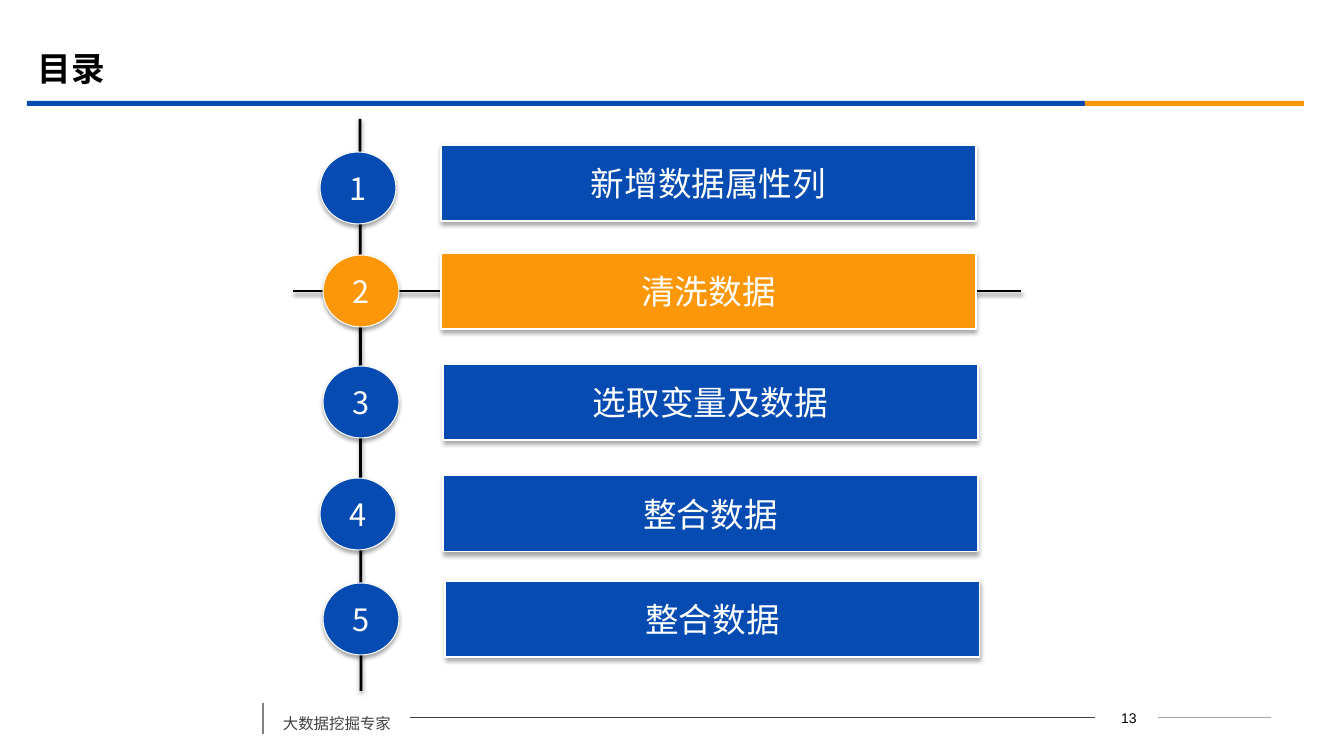
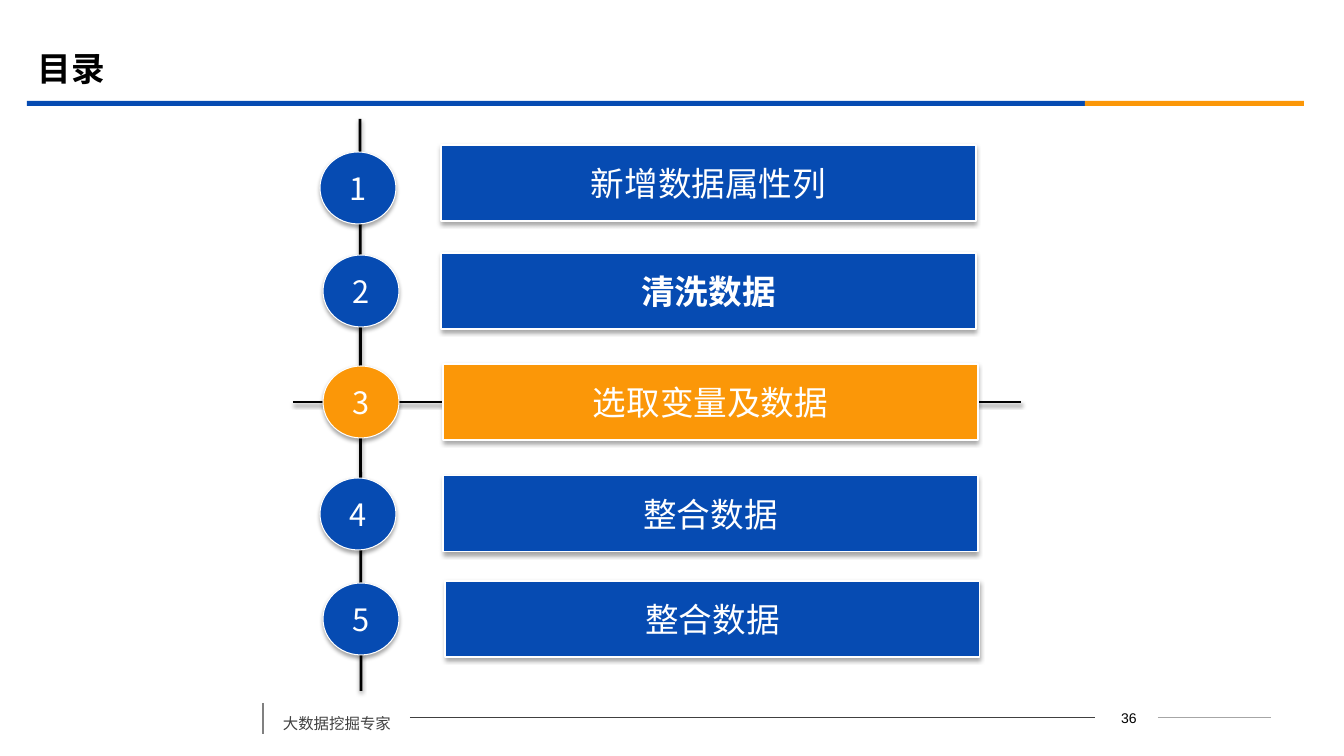
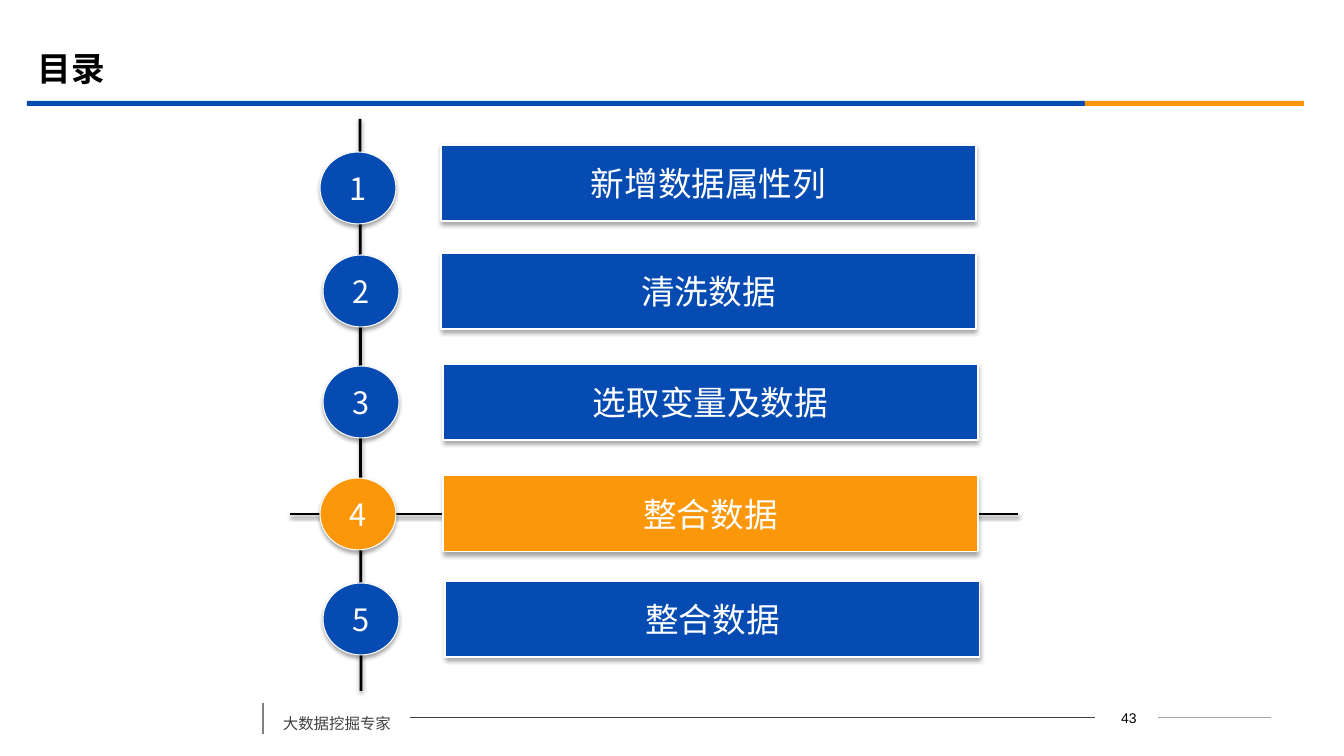
import pptx
import pptx.util
import pptx.dml.color
import pptx.enum.shapes
import pptx.enum.text
import pptx.oxml.ns
import lxml.etree

PX = 914400 / 100.8
SHAPES = pptx.enum.shapes.MSO_SHAPE
ALIGN = pptx.enum.text.PP_ALIGN
ANCHOR = pptx.enum.text.MSO_ANCHOR
COLORS = {
    "blue": "064BB2", "orange": "FB9708", "white": "FFFFFF", "black": "000000",
    "footer": "404040", "divider": "808080", "pale": "A6A6A6",
}
FONT = "Noto Sans CJK SC"

# Agenda content: label, circle left and top, bar left and top
TOPICS = [
    ("新增数据属性列", (320, 152), (441, 145)),
    ("清洗数据", (323, 255), (441, 253)),
    ("选取变量及数据", (323, 366), (443, 364)),
    ("整合数据", (320, 478), (443, 476)),
    ("整合数据", (323, 583), (445, 581)),
]
CIRCLE = (76, 72)
BAR = (535, 76)

# Page number, highlighted topic, bold topic
AGENDAS = [(13, 2, None), (36, 3, 2), (43, 4, None)]


def emu(*lengths):
    return [pptx.util.Emu(round(length * PX)) for length in lengths]


def rgb(name):
    return pptx.dml.color.RGBColor.from_string(COLORS[name])


def write(frame, text, size=24, color="black", font=FONT, bold=False,
          align=ALIGN.LEFT, anchor=ANCHOR.TOP, wrap=True, spacing=None, before=0):
    frame.word_wrap = wrap
    frame.vertical_anchor = anchor
    paragraph = frame.paragraphs[0]
    paragraph.alignment = align
    paragraph.space_before = pptx.util.Pt(before)
    if spacing:
        paragraph.line_spacing = spacing
    run = paragraph.add_run()
    run.text = text
    run.font.size = pptx.util.Pt(size)
    run.font.bold = bold
    run.font.color.rgb = rgb(color)
    run.font.name = font
    east_asian = lxml.etree.SubElement(run.font._element, pptx.oxml.ns.qn("a:ea"))
    east_asian.set("typeface", font)


class Deck:
    def __init__(self):
        self.file = pptx.Presentation()
        self.file.slide_width, self.file.slide_height = emu(1344, 756)
        self.slide = None

    def effects(self, item, distance=0, alpha=0):
        """Replace the theme shadow by none, or by a soft one straight below."""
        qn = pptx.oxml.ns.qn
        properties = item._element.spPr
        effects = properties.find(qn("a:effectLst"))
        if effects is None:
            effects = lxml.etree.SubElement(properties, qn("a:effectLst"))
        if alpha:
            shadow = lxml.etree.SubElement(
                effects, qn("a:outerShdw"), blurRad=str(pptx.util.Pt(3.1)),
                dist=str(pptx.util.Pt(distance)), dir="5400000", rotWithShape="0")
            tint = lxml.etree.SubElement(shadow, qn("a:srgbClr"), val=COLORS["black"])
            lxml.etree.SubElement(tint, qn("a:alpha"), val=str(alpha * 1000))

    def text(self, box, text, **style):
        frame = self.slide.shapes.add_textbox(*emu(*box)).text_frame
        write(frame, text, **style)

    def line(self, start, end, color="black", width=2, shadow=False):
        line = self.slide.shapes.add_connector(
            pptx.enum.shapes.MSO_CONNECTOR.STRAIGHT, *emu(*start, *end))
        line.line.color.rgb = rgb(color)
        line.line.width = pptx.util.Pt(width)
        self.effects(line, 1.6, 38 if shadow else 0)

    def shape(self, kind, box, fill):
        shape = self.slide.shapes.add_shape(kind, *emu(*box))
        shape.shadow.inherit = False
        shape.fill.solid()
        shape.fill.fore_color.rgb = rgb(fill)
        shape.line.fill.background()
        return shape

    def button(self, kind, box, fill, label, **style):
        button = self.shape(kind, box, fill)
        button.line.color.rgb = rgb("white")
        button.line.width = pptx.util.Pt(0.75)
        self.effects(button, 1.8, 35)
        write(button.text_frame, label, color="white", align=ALIGN.CENTER,
              anchor=ANCHOR.MIDDLE, wrap=False, **style)

    def new_slide(self, title, page):
        self.slide = self.file.slides.add_slide(self.file.slide_layouts[6])
        # Title and two-colour band
        self.text((28, 39, 1210, 58), title, bold=True, anchor=ANCHOR.MIDDLE)
        self.shape(SHAPES.RECTANGLE, (27, 101, 1058, 5), "blue")
        self.shape(SHAPES.RECTANGLE, (1085, 101, 219, 5), "orange")
        # Footer
        self.line((263, 703), (263, 734), "divider", 1.25)
        self.text((273, 700, 137, 38), "大数据挖掘专家", size=11, color="footer",
                  spacing=1.5, before=6)
        self.line((410, 718), (1095, 718), "footer", 0.75)
        self.text((1096, 705, 62, 25), f" {page}", size=10, font="Arial",
                  align=ALIGN.CENTER)
        self.line((1158, 718), (1271, 718), "pale", 0.75)

    def agenda(self, current, bold):
        # Spine, and crossbar through the current topic
        self.line((360, 119), (361, 691), shadow=True)
        left, top = TOPICS[current - 1][1]
        middle = top + CIRCLE[1] // 2
        self.line((left - 30, middle), (left + 698, middle), shadow=True)
        # Numbered topics
        for number, (label, circle, bar) in enumerate(TOPICS, 1):
            fill = "orange" if number == current else "blue"
            self.button(SHAPES.OVAL, circle + CIRCLE, fill, str(number), size=22)
            self.button(SHAPES.ACTION_BUTTON_CUSTOM, bar + BAR, fill, label,
                        bold=number == bold)


def main():
    deck = Deck()
    for page, current, bold in AGENDAS:
        deck.new_slide("目录", page)
        deck.agenda(current, bold)
    deck.file.save("out.pptx")


if __name__ == "__main__":
    main()
